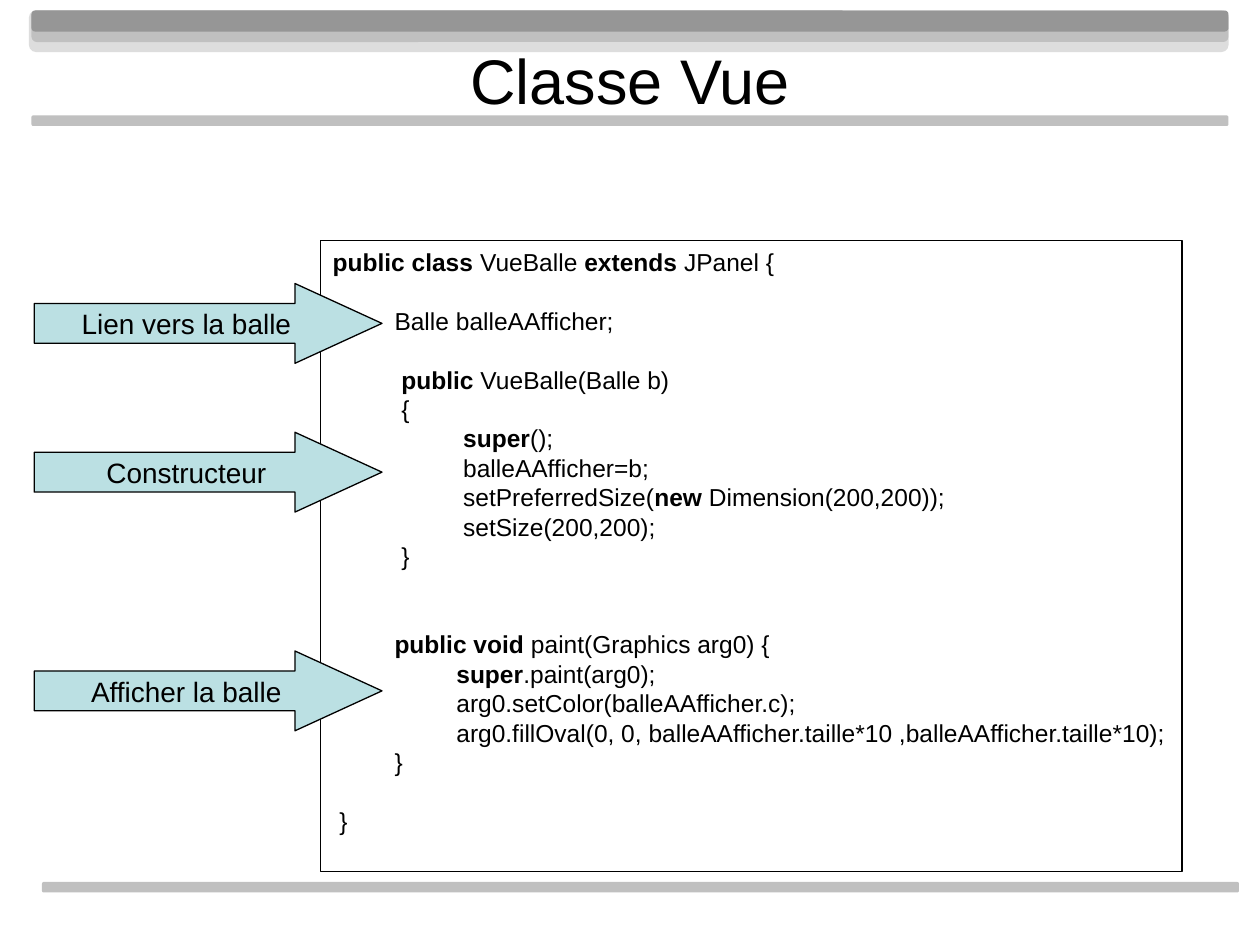
from dataclasses import dataclass

from lxml import etree
from pptx import Presentation
from pptx.dml.color import RGBColor
from pptx.enum.shapes import MSO_SHAPE
from pptx.enum.text import MSO_ANCHOR, PP_ALIGN
from pptx.oxml.ns import qn
from pptx.util import Pt

ROUNDED = MSO_SHAPE.ROUNDED_RECTANGLE
RECTANGLE = MSO_SHAPE.RECTANGLE
RIGHT_ARROW = MSO_SHAPE.RIGHT_ARROW
TOP, MIDDLE = MSO_ANCHOR.TOP, MSO_ANCHOR.MIDDLE
LEFT, CENTER = PP_ALIGN.LEFT, PP_ALIGN.CENTER

FONT = "Arial"
BLACK = "000000"
ARROW_FILL = "BBE0E3"
CODE_LINE = 16.8
TAB_STEP = 35.35


@dataclass(frozen=True)
class Box:
    left: float
    top: float
    width: float
    height: float


@dataclass(frozen=True)
class Bar:
    box: Box
    fill: str


@dataclass(frozen=True)
class Run:
    text: str
    bold: bool = False


@dataclass(frozen=True)
class CodeLine:
    runs: tuple[Run, ...]
    empty_before: int = 0


@dataclass(frozen=True)
class Callout:
    label: str
    top: float


BARS = (
    Bar(Box(16.56, 6, 685.44, 23.76), "DDDDDD"),
    Bar(Box(18, 6, 684, 18), "C0C0C0"),
    Bar(Box(18, 6, 684, 12), "969696"),
    Bar(Box(18, 66, 684, 6), "C0C0C0"),
    Bar(Box(24, 504, 684, 6), "C0C0C0"),
)

CALLOUTS = (
    Callout("Lien vers la balle", 162),
    Callout("Constructeur", 247),
    Callout("Afficher la balle", 372),
)


def plain(text: str, empty_before: int = 0) -> CodeLine:
    return CodeLine((Run(text),), empty_before)


CODE = (
    CodeLine((Run("public class", True), Run(" VueBalle "), Run("extends", True), Run(" JPanel {"))),
    plain("\tBalle balleAAfficher;", 1),
    CodeLine((Run("\t "), Run("public", True), Run(" VueBalle(Balle b)")), 1),
    plain("\t {"),
    CodeLine((Run("\t\t "), Run("super", True), Run("();"))),
    plain("\t\t balleAAfficher=b;"),
    CodeLine((Run("\t\t setPreferredSize("), Run("new", True), Run(" Dimension(200,200));"))),
    plain("\t\t setSize(200,200);"),
    plain("\t }"),
    CodeLine((Run("\tpublic void", True), Run(" paint(Graphics arg0) {")), 2),
    CodeLine((Run("\t\tsuper", True), Run(".paint(arg0);"))),
    plain("\t\targ0.setColor(balleAAfficher.c);"),
    plain("\t\targ0.fillOval(0, 0, balleAAfficher.taille*10 ,balleAAfficher.taille*10);"),
    plain("\t}"),
    plain(" }", 1),
)


def color(value: str) -> RGBColor:
    return RGBColor.from_string(value)


def place(box: Box) -> tuple[Pt, Pt, Pt, Pt]:
    return Pt(box.left), Pt(box.top), Pt(box.width), Pt(box.height)


def add_figure(slide, kind, box: Box, fill: str | None, line: str | None):
    figure = slide.shapes.add_shape(kind, *place(box))
    figure.shadow.inherit = False
    if fill:
        figure.fill.solid()
        figure.fill.fore_color.rgb = color(fill)
    else:
        figure.fill.background()
    if line:
        figure.line.color.rgb = color(line)
        figure.line.width = Pt(0.75)
    else:
        figure.line.fill.background()
    return figure


def set_frame(frame, anchor, wrap: bool, right_inset: float = 7.2) -> None:
    frame.vertical_anchor = anchor
    frame.word_wrap = wrap
    frame.margin_left, frame.margin_right = Pt(7.2), Pt(right_inset)
    frame.margin_top = frame.margin_bottom = Pt(3.6)


def add_run(paragraph, content: Run, size: float) -> None:
    run = paragraph.add_run()
    run.text = content.text
    run.font.name = FONT
    run.font.size = Pt(size)
    run.font.bold = content.bold
    run.font.color.rgb = color(BLACK)


def set_tabs(paragraph) -> None:
    tab_list = etree.SubElement(paragraph._p.get_or_add_pPr(), qn("a:tabLst"))
    for step in (1, 2):
        etree.SubElement(tab_list, qn("a:tab"), pos=str(Pt(step * TAB_STEP)), algn="l")


def draw_bar(slide, bar: Bar) -> None:
    figure = add_figure(slide, ROUNDED, bar.box, bar.fill, None)
    figure.adjustments[0] = 0.167


def draw_title(slide, text: str) -> None:
    frame = slide.shapes.add_textbox(*place(Box(0, 24, 720, 43))).text_frame
    set_frame(frame, MIDDLE, True)
    heading = frame.paragraphs[0]
    heading.alignment = CENTER
    add_run(heading, Run(text), 36)


def draw_code(slide, lines: tuple[CodeLine, ...]) -> None:
    listing = add_figure(slide, RECTANGLE, Box(183, 137.6, 492.4, 360.6), None, BLACK)
    frame = listing.text_frame
    set_frame(frame, TOP, True, 0)
    for index, line in enumerate(lines):
        paragraph = frame.add_paragraph() if index else frame.paragraphs[0]
        set_tabs(paragraph)
        paragraph.alignment = LEFT
        paragraph.line_spacing = Pt(CODE_LINE)
        if line.empty_before:
            paragraph.space_before = Pt(line.empty_before * CODE_LINE)
        for run in line.runs:
            add_run(paragraph, run, 14)


def draw_callout(slide, callout: Callout) -> None:
    arrow = add_figure(slide, RIGHT_ARROW, Box(19.6, callout.top, 198.7, 45.6), ARROW_FILL, BLACK)
    arrow.adjustments[0] = 0.5
    arrow.adjustments[1] = 1.09
    set_frame(arrow.text_frame, MIDDLE, False)
    label = arrow.text_frame.paragraphs[0]
    label.alignment = CENTER
    add_run(label, Run(callout.label), 16)


def main() -> None:
    deck = Presentation()
    deck.slide_width, deck.slide_height = Pt(720), Pt(540)
    slide = deck.slides.add_slide(deck.slide_layouts[6])
    for bar in BARS:
        draw_bar(slide, bar)
    draw_title(slide, "Classe Vue")
    draw_code(slide, CODE)
    for callout in CALLOUTS:
        draw_callout(slide, callout)
    deck.save("out.pptx")


if __name__ == "__main__":
    main()
